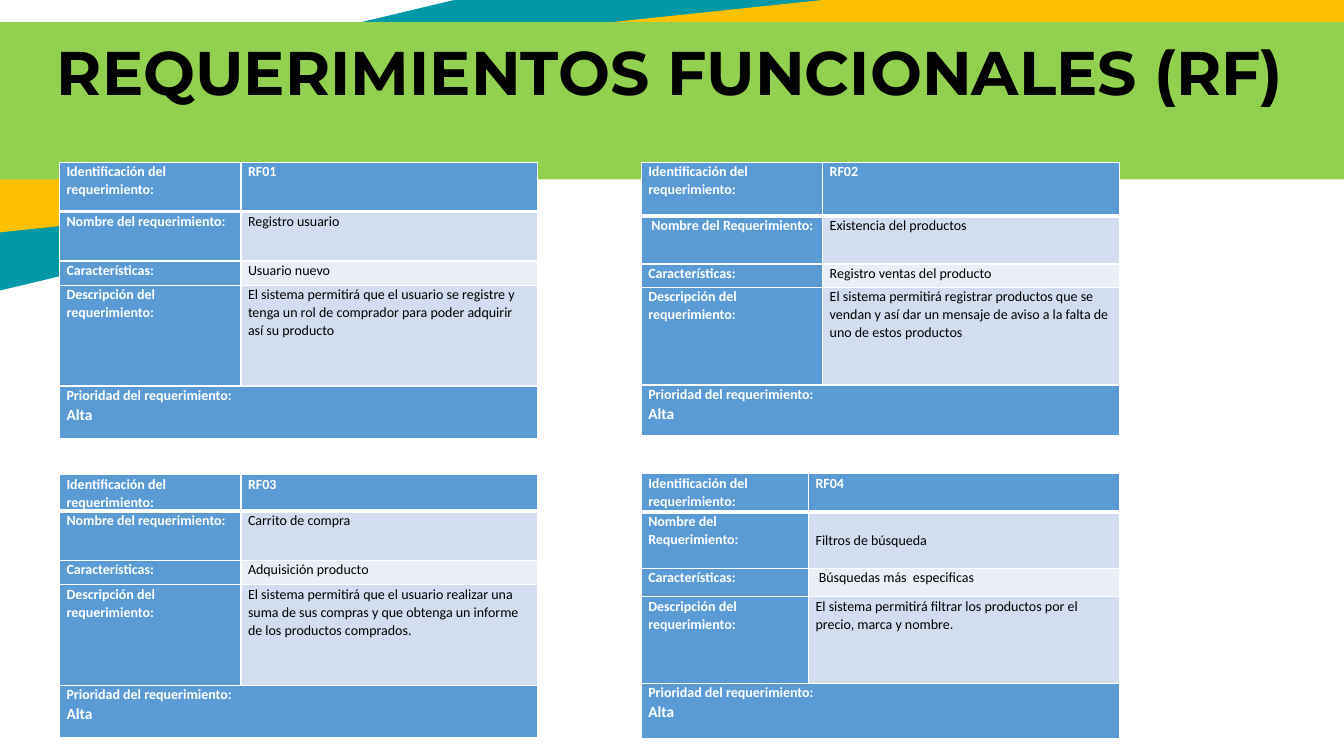
from lxml.etree import SubElement
from pptx import Presentation
from pptx.dml.color import RGBColor
from pptx.enum.shapes import MSO_SHAPE as Preset
from pptx.enum.text import MSO_ANCHOR as Anchor, MSO_AUTO_SIZE as AutoSize, PP_ALIGN as Align
from pptx.oxml.ns import qn
from pptx.util import Inches, Pt

# Content
TITLE = "REQUERIMIENTOS FUNCIONALES (RF)"
IDENTIFICATION = "Identificación del requerimiento:"
FEATURES = "Características:"
DESCRIPTION = "Descripción del requerimiento:"
PRIORITY = ("Prioridad del requerimiento:", "Alta")
# Left, top, label column width, row heights, name label, values
REQUIREMENTS = [
    (0.59, 1.61, 1.8, (0.49, 0.49, 0.24, 1, 0.52), "Nombre del requerimiento:",
     ("RF01", "Registro usuario", "Usuario nuevo",
      "El sistema permitirá que el usuario se registre y tenga un rol de comprador "
      "para poder adquirir así su producto")),
    (6.36, 1.61, 1.8, (0.53, 0.48, 0.23, 0.97, 0.5), " Nombre del Requerimiento:",
     ("RF02", "Existencia del productos", "Registro ventas del producto",
      "El sistema permitirá registrar productos que se vendan y así dar un mensaje "
      "de aviso a la falta de uno de estos productos")),
    (0.59, 4.71, 1.8, (0.31, 0.49, 0.24, 1, 0.52), "Nombre del requerimiento:",
     ("RF03", "Carrito de compra", "Adquisición producto",
      "El sistema permitirá que el usuario realizar una suma de sus compras y que "
      "obtenga un informe de los productos comprados.")),
    (6.36, 4.7, 1.66, (0.38, 0.56, 0.28, 0.86, 0.55), "Nombre del Requerimiento:",
     ("RF04", "Filtros de búsqueda", " Búsquedas más  especificas",
      "El sistema permitirá filtrar los productos por el precio, marca y nombre.")),
]
# Left, top, width, height, rotation, colour
BANDS = [
    (-3.34, -0.18, 17.41, 1.76, 346.6, "0099A5"),
    (-1.46, 0.2, 15.5, 1.44, 354, "FFC000"),
    (-1.41, 0.22, 15.5, 1.56, 0, "92D050"),
]
TABLE_WIDTH = 4.74
BLUE, WHITE, BLACK = "5B9BD5", "FFFFFF", "000000"
VALUE_FILLS = (BLUE, "D2DEEF", "EAEFF7", "D2DEEF")


def color(value):
    return RGBColor.from_string(value)


def add_text(para, text, font, size, ink, bold):
    span = para.add_run()
    span.text = text
    span.font.name = font
    span.font.size = Pt(size)
    span.font.bold = bold
    span.font.color.rgb = color(ink)


def add_borders(cell, top, bottom):
    properties = cell._tc.get_or_add_tcPr()
    for side, width in (("L", 1), ("R", 1), ("T", top), ("B", bottom)):
        line = SubElement(properties, qn(f"a:ln{side}"), w=str(Pt(width)))
        fill = SubElement(line, qn("a:solidFill"))
        SubElement(fill, qn("a:srgbClr"), val=WHITE)


def fill_cell(cell, row, lines, fill, ink=WHITE):
    add_borders(cell, 3 if row == 1 else 1, 3 if row == 0 else 1)
    cell.fill.solid()
    cell.fill.fore_color.rgb = color(fill)
    cell.margin_left = cell.margin_right = Inches(0.07)
    cell.margin_top = cell.margin_bottom = 0
    frame = cell.text_frame
    for index, text in enumerate(lines):
        para = frame.add_paragraph() if index else frame.paragraphs[0]
        para.line_spacing = 1.07
        if index:
            para.space_after = Pt(8)
        add_text(para, text, "Calibri", 11 if index else 10, ink, ink == WHITE)


def add_requirement(page, left, top, label_width, heights, name_label, values):
    table = page.shapes.add_table(
        len(heights), 2, Inches(left), Inches(top),
        Inches(TABLE_WIDTH), Inches(sum(heights))).table
    table.columns[0].width = Inches(label_width)
    table.columns[1].width = Inches(TABLE_WIDTH - label_width)
    for row, height in zip(table.rows, heights):
        row.height = Inches(height)
    labels = (IDENTIFICATION, name_label, FEATURES, DESCRIPTION)
    for row, (label, value, fill) in enumerate(zip(labels, values, VALUE_FILLS)):
        fill_cell(table.cell(row, 0), row, [label], BLUE)
        fill_cell(table.cell(row, 1), row, [value], fill, BLACK if row else WHITE)
    # Priority spans both columns
    last = len(heights) - 1
    table.cell(last, 0).merge(table.cell(last, 1))
    fill_cell(table.cell(last, 0), last, PRIORITY, BLUE)
    return table


def main():
    deck = Presentation()
    deck.slide_width, deck.slide_height = Inches(13.33), Inches(7.5)
    page = deck.slides.add_slide(deck.slide_layouts[5])

    # Coloured bands
    for left, top, width, height, rotation, fill in BANDS:
        band = page.shapes.add_shape(
            Preset.RECTANGLE, Inches(left), Inches(top), Inches(width), Inches(height))
        band.rotation = rotation
        band.shadow.inherit = False
        band.fill.solid()
        band.fill.fore_color.rgb = color(fill)
        band.line.fill.background()

    # Title, in front of the bands
    title = page.shapes.title
    title.element.getparent().append(title.element)
    title.left, title.top = 0, Inches(0.28)
    title.width, title.height = Inches(13.3), Inches(0.84)
    frame = title.text_frame
    frame.word_wrap = False
    frame.auto_size = AutoSize.NONE
    frame.vertical_anchor = Anchor.MIDDLE
    para = frame.paragraphs[0]
    para.alignment = Align.CENTER
    add_text(para, TITLE, "Montserrat", 44, BLACK, True)

    # Requirement tables
    tables = [add_requirement(page, *requirement) for requirement in REQUIREMENTS]
    tables[-1].cell(1, 1).vertical_anchor = Anchor.MIDDLE

    deck.save("out.pptx")


if __name__ == "__main__":
    main()
